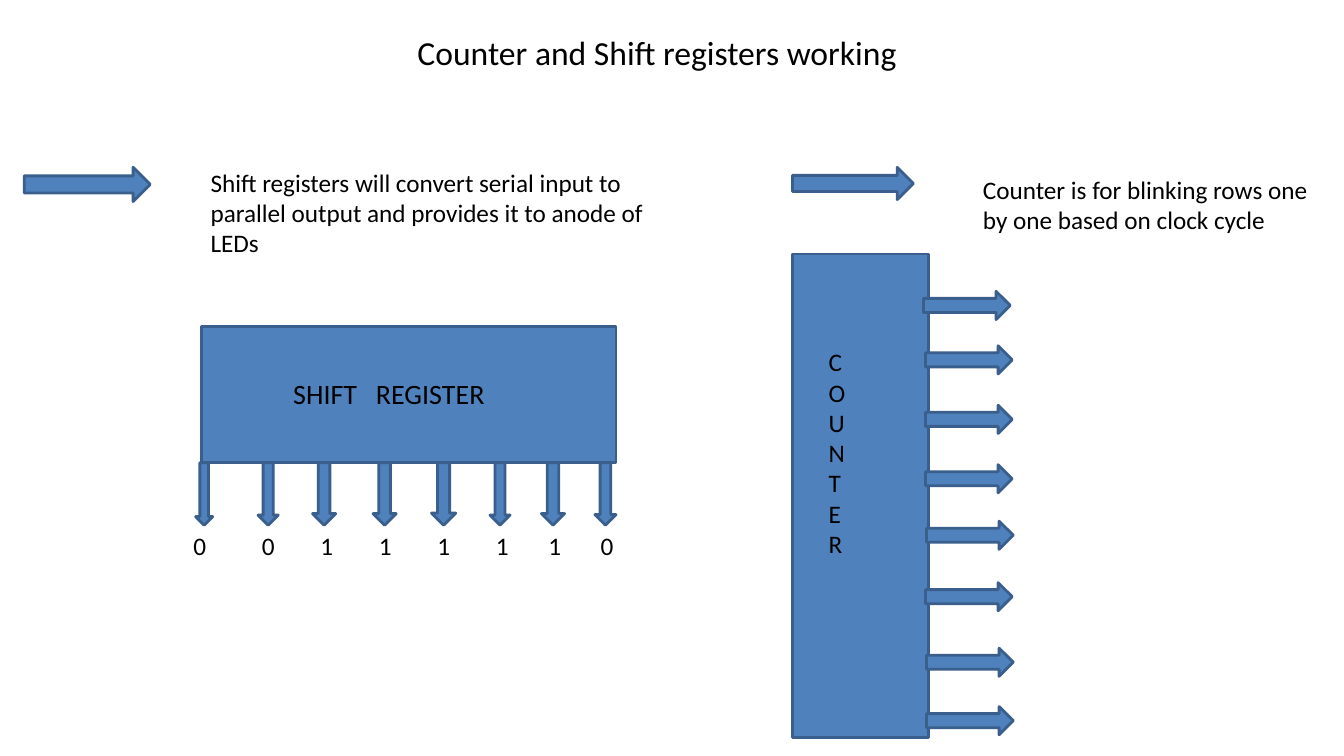
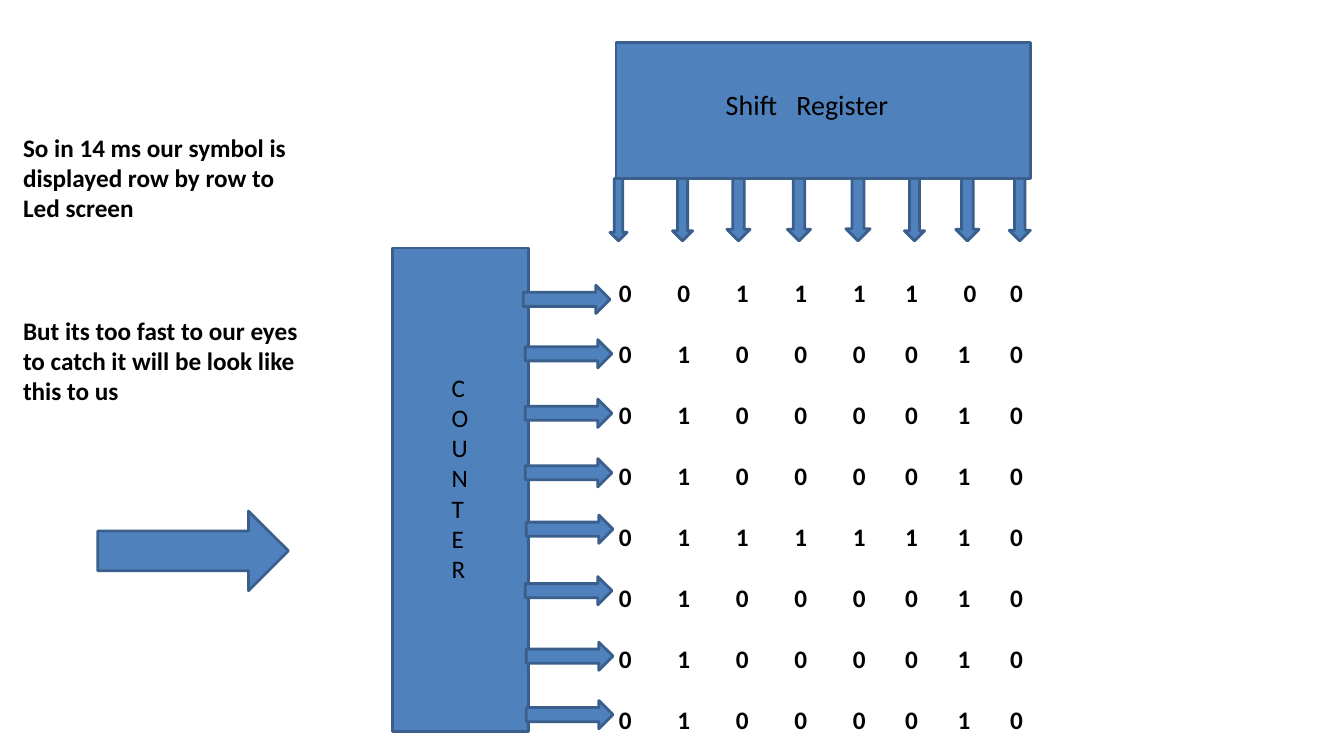
"""Build two slides explaining how a counter and a shift register drive an LED matrix."""
from dataclasses import dataclass

import lxml.etree
import pptx
import pptx.dml.color
import pptx.enum.shapes
import pptx.enum.text
import pptx.oxml.ns
import pptx.slide
import pptx.text.text
import pptx.util

EMU_PER_PX = 9144
RECTANGLE = pptx.enum.shapes.MSO_SHAPE.RECTANGLE
DOWN_ARROW = pptx.enum.shapes.MSO_SHAPE.DOWN_ARROW
RIGHT_ARROW = pptx.enum.shapes.MSO_SHAPE.RIGHT_ARROW


@dataclass(frozen=True)
class Theme:
    font: str = "Calibri"
    fill: str = "4F81BD"
    line: str = "3A5F8C"
    text: str = "000000"
    line_width: int = 2
    title_size: int = 24
    label_size: int = 20
    body_size: int = 18
    line_height: int = 22


@dataclass(frozen=True)
class Box:
    left: int
    top: int
    width: int
    height: int


@dataclass(frozen=True)
class Line:
    text: str
    size: int
    bold: bool = False
    space_before: int = 0
    tabs: tuple[int, ...] = ()


@dataclass(frozen=True)
class Register:
    left: int
    top: int
    label: str
    label_tab: int
    label_left: int
    label_top: int


@dataclass(frozen=True)
class Counter:
    left: int
    top: int
    label_left: int
    label_top: int


THEME = Theme()
REGISTER_WIDTH, REGISTER_HEIGHT = 411, 135
COUNTER_WIDTH, COUNTER_HEIGHT = 135, 480
OUTPUT_LENGTH, OUTPUT_THICKNESS = 86, 28
PIN_LENGTH = 62
PINS = ((-6, 17), (56, 20), (110, 23), (170, 23), (228, 24), (286, 20), (337, 23), (390, 21))
OUTPUTS = ((130, 37), (132, 91), (132, 150), (132, 209), (133, 265), (132, 326), (133, 391), (133, 449))
BIT_TABS = (68, 126, 184, 242, 300, 352, 404)
MATRIX_TOP_TABS = (58, 116, 174, 232, 284, 342, 388)
MATRIX_TABS = (58, 116, 174, 232, 284, 336, 388)
MATRIX_ROWS = ("00111100", "01000010", "01000010", "01000010", "01111110", "01000010", "01000010", "01000010")


def px(length: int) -> pptx.util.Emu:
    return pptx.util.Emu(length * EMU_PER_PX)


def color(value: str) -> pptx.dml.color.RGBColor:
    return pptx.dml.color.RGBColor.from_string(value)


def add_tabs(paragraph: pptx.text.text._Paragraph, positions: tuple[int, ...]) -> None:
    properties = paragraph._p.get_or_add_pPr()
    tab_list = lxml.etree.SubElement(properties, pptx.oxml.ns.qn("a:tabLst"))
    for position in positions:
        lxml.etree.SubElement(tab_list, pptx.oxml.ns.qn("a:tab"), pos=str(int(px(position))), algn="l")


def write_lines(frame: pptx.text.text.TextFrame, lines: list[Line]) -> None:
    frame.word_wrap = True
    frame.vertical_anchor = pptx.enum.text.MSO_ANCHOR.TOP
    for index, line in enumerate(lines):
        paragraph = frame.add_paragraph() if index else frame.paragraphs[0]
        paragraph.text = line.text
        paragraph.alignment = pptx.enum.text.PP_ALIGN.LEFT
        if line.tabs:
            add_tabs(paragraph, line.tabs)
        if line.space_before:
            paragraph.space_before = pptx.util.Pt(line.space_before)
        paragraph.font.name = THEME.font
        paragraph.font.size = pptx.util.Pt(line.size)
        paragraph.font.bold = line.bold
        paragraph.font.color.rgb = color(THEME.text)


def add_text(slide: pptx.slide.Slide, box: Box, lines: list[Line]) -> None:
    shape = slide.shapes.add_textbox(px(box.left), px(box.top), px(box.width), px(box.height))
    write_lines(shape.text_frame, lines)


def add_block(slide: pptx.slide.Slide, kind: pptx.enum.shapes.MSO_SHAPE, box: Box) -> None:
    shape = slide.shapes.add_shape(kind, px(box.left), px(box.top), px(box.width), px(box.height))
    shape.shadow.inherit = False
    shape.fill.solid()
    shape.fill.fore_color.rgb = color(THEME.fill)
    shape.line.color.rgb = color(THEME.line)
    shape.line.width = pptx.util.Pt(THEME.line_width)


def set_title(slide: pptx.slide.Slide, box: Box, text: str) -> None:
    title = slide.shapes.title
    title.left, title.top = px(box.left), px(box.top)
    title.width, title.height = px(box.width), px(box.height)
    write_lines(title.text_frame, [Line(text, THEME.title_size)])


def add_register(slide: pptx.slide.Slide, register: Register) -> None:
    add_block(slide, RECTANGLE, Box(register.left, register.top, REGISTER_WIDTH, REGISTER_HEIGHT))
    add_text(
        slide,
        Box(register.left + register.label_left, register.top + register.label_top, 300, 44),
        [Line(register.label, THEME.label_size, tabs=(register.label_tab,))],
    )
    for offset, width in PINS:
        add_block(
            slide, DOWN_ARROW, Box(register.left + offset, register.top + REGISTER_HEIGHT, width, PIN_LENGTH)
        )


def add_counter(slide: pptx.slide.Slide, counter: Counter) -> None:
    add_block(slide, RECTANGLE, Box(counter.left, counter.top, COUNTER_WIDTH, COUNTER_HEIGHT))
    for across, down in OUTPUTS:
        add_block(
            slide,
            RIGHT_ARROW,
            Box(counter.left + across, counter.top + down, OUTPUT_LENGTH, OUTPUT_THICKNESS),
        )
    add_text(
        slide,
        Box(counter.left + counter.label_left, counter.top + counter.label_top, 65, 222),
        [Line(letter, THEME.body_size) for letter in "COUNTER"],
    )


def build_working_slide(presentation: pptx.presentation.Presentation) -> None:
    slide = presentation.slides.add_slide(presentation.slide_layouts.get_by_name("Title Only"))
    set_title(slide, Box(404, 27, 651, 50), "Counter and Shift registers working")
    add_register(slide, Register(200, 324, "SHIFT\tREGISTER", 82, 81, 45))
    add_text(slide, Box(182, 521, 444, 40), [Line("\t".join("00111110"), THEME.body_size, tabs=BIT_TABS)])
    add_counter(slide, Counter(786, 252, 26, 87))
    add_block(slide, RIGHT_ARROW, Box(24, 166, 125, 34))
    add_text(
        slide,
        Box(199, 161, 473, 101),
        [
            Line(
                "Shift registers will convert serial input to parallel output and provides it to anode of LEDs",
                THEME.body_size,
            )
        ],
    )
    add_block(slide, RIGHT_ARROW, Box(786, 166, 120, 32))
    add_text(
        slide,
        Box(965, 168, 349, 101),
        [Line("Counter is for blinking rows one by one based on clock cycle", THEME.body_size)],
    )


def build_matrix_slide(presentation: pptx.presentation.Presentation) -> None:
    slide = presentation.slides.add_slide(presentation.slide_layouts.get_by_name("Blank"))
    add_register(slide, Register(611, 42, "Shift\tRegister", 70, 99, 40))
    matrix = [
        Line(
            "\t".join(bits),
            THEME.body_size,
            bold=True,
            space_before=THEME.line_height if row else 0,
            tabs=MATRIX_TABS if row else MATRIX_TOP_TABS,
        )
        for row, bits in enumerate(MATRIX_ROWS)
    ]
    add_text(slide, Box(604, 270, 433, 464), matrix)
    add_counter(slide, Counter(389, 246, 49, 118))
    add_text(
        slide,
        Box(13, 126, 318, 343),
        [
            Line("So in 14 ms our symbol is displayed row by row to", THEME.body_size, bold=True),
            Line("Led screen", THEME.body_size, bold=True),
            Line(
                "But its too fast to our eyes to catch it will be look like this to us",
                THEME.body_size,
                bold=True,
                space_before=3 * THEME.line_height,
            ),
        ],
    )
    add_block(slide, RIGHT_ARROW, Box(97, 507, 189, 79))


def main() -> None:
    presentation = pptx.Presentation()
    presentation.slide_width, presentation.slide_height = px(1333), px(750)
    build_working_slide(presentation)
    build_matrix_slide(presentation)
    presentation.save("out.pptx")


if __name__ == "__main__":
    main()
